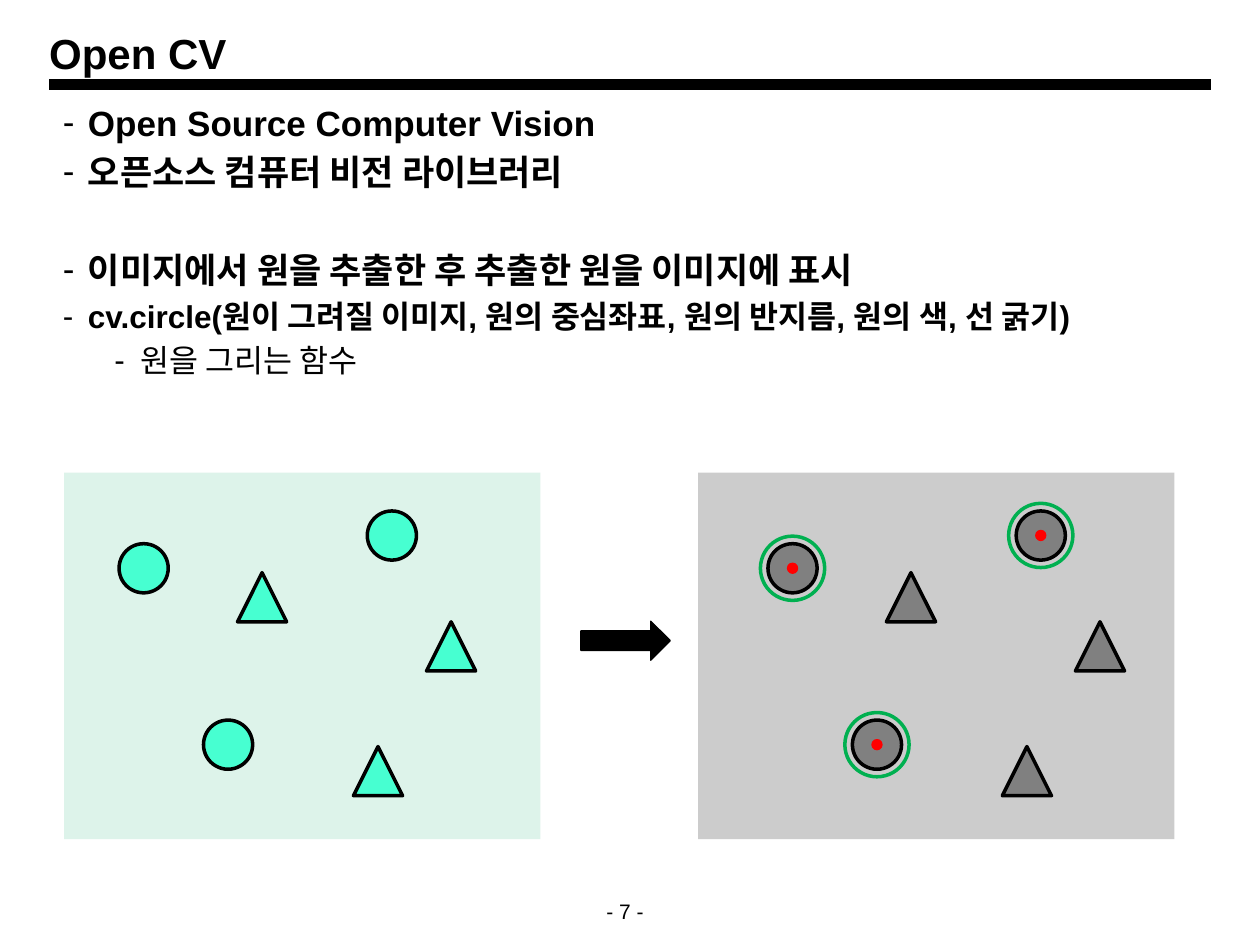
from lxml import etree
from pptx import Presentation
from pptx.dml.color import RGBColor
from pptx.enum.shapes import MSO_CONNECTOR, MSO_SHAPE
from pptx.enum.text import MSO_ANCHOR, PP_ALIGN
from pptx.oxml.ns import qn
from pptx.util import Inches, Pt

ELLIPSE = MSO_SHAPE.OVAL
TRIANGLE = MSO_SHAPE.ISOSCELES_TRIANGLE
RECTANGLE = MSO_SHAPE.RECTANGLE
RIGHT_ARROW = MSO_SHAPE.RIGHT_ARROW
STRAIGHT = MSO_CONNECTOR.STRAIGHT
MIDDLE = MSO_ANCHOR.MIDDLE
LEFT, CENTER = PP_ALIGN.LEFT, PP_ALIGN.CENTER


def color(value):
    return RGBColor.from_string(value)


class Deck:
    font = "Arial"
    ink = "000000"

    def __init__(self, width, height):
        self.presentation = Presentation()
        self.presentation.slide_width = Inches(width)
        self.presentation.slide_height = Inches(height)

    def add_slide(self):
        layout = self.presentation.slide_layouts[5]
        self.slide = self.presentation.slides.add_slide(layout)

    def add_run(self, paragraph, text, size, bold=False):
        run = paragraph.add_run()
        run.text = text
        run.font.name = self.font
        run.font.size = Pt(size)
        run.font.bold = bold
        run.font.color.rgb = color(self.ink)

    def title(self, text, left, top, width, height):
        heading = self.slide.shapes.title
        heading.left, heading.top = Inches(left), Inches(top)
        heading.width, heading.height = Inches(width), Inches(height)
        frame = heading.text_frame
        frame.margin_left = frame.margin_right = 0
        frame.vertical_anchor = MIDDLE
        frame.paragraphs[0].alignment = LEFT
        self.add_run(frame.paragraphs[0], text, 24, True)

    def text_frame(self, *box):
        frame = self.slide.shapes.add_textbox(*map(Inches, box)).text_frame
        frame.word_wrap = True
        return frame

    def label(self, text, size, *box):
        paragraph = self.text_frame(*box).paragraphs[0]
        paragraph.alignment = CENTER
        self.add_run(paragraph, text, size)

    def bullets(self, items, *box):
        frame = self.text_frame(*box)
        for index, (text, size, level, before) in enumerate(items):
            paragraph = frame.add_paragraph() if index else frame.paragraphs[0]
            paragraph.level = level
            paragraph.space_before = Pt(before)
            margin, indent = ((0.2, -0.2), (0.62, -0.21))[level]
            properties = paragraph._p.get_or_add_pPr()
            properties.set("marL", str(Inches(margin)))
            properties.set("indent", str(Inches(indent)))
            etree.SubElement(properties, qn("a:buFont")).set("typeface", self.font)
            etree.SubElement(properties, qn("a:buChar")).set("char", "-")
            self.add_run(paragraph, text, size, level == 0)

    def rule(self, left, right, y, weight):
        line = self.slide.shapes.add_connector(
            STRAIGHT, Inches(left), Inches(y), Inches(right), Inches(y))
        line.line.color.rgb = color(self.ink)
        line.line.width = Pt(weight)
        etree.SubElement(line._element.spPr, qn("a:effectLst"))

    def shape(self, preset, left, top, width, height, fill=None, line=None, weight=2):
        figure = self.slide.shapes.add_shape(
            preset, Inches(left), Inches(top), Inches(width), Inches(height))
        figure.shadow.inherit = False
        if fill:
            figure.fill.solid()
            figure.fill.fore_color.rgb = color(fill)
        else:
            figure.fill.background()
        if line:
            figure.line.color.rgb = color(line)
            figure.line.width = Pt(weight)
        else:
            figure.line.fill.background()

    def centered(self, preset, x, y, size, **style):
        self.shape(preset, x - size / 2, y - size / 2, size, size, **style)


deck = Deck(10, 7.5)
deck.add_slide()
deck.rule(0.39, 9.61, 0.67, 6)
deck.title("Open CV", 0.39, 0.17, 9.23, 0.5)
deck.bullets([
    ("Open Source Computer Vision", 20, 0, 4),
    ("오픈소스 컴퓨터 비전 라이브러리", 20, 0, 4),
    ("이미지에서 원을 추출한 후 추출한 원을 이미지에 표시", 20, 0, 32),
    ("cv.circle(원이 그려질 이미지, 원의 중심좌표, 원의 반지름, 원의 색, 선 굵기)", 18, 0, 3.6),
    ("원을 그리는 함수", 18, 1, 3.6),
], 0.4, 0.76, 9.23, 6.23)
deck.label("- 7 -", 12, 3.92, 7.08, 2.08, 0.42)

for panel_left, panel_fill in ((0.51, "DDF3EA"), (5.54, "CCCCCC")):
    deck.shape(RECTANGLE, panel_left, 3.75, 3.78, 2.91, fill=panel_fill)
deck.shape(RIGHT_ARROW, 4.61, 4.93, 0.71, 0.31,
           fill=deck.ink, line=deck.ink, weight=0.75)

circle_centers = [(1.14, 4.51), (1.81, 5.91), (3.11, 4.25)]
triangle_centers = [(2.08, 4.74), (3.0, 6.12), (3.58, 5.13)]
result_shift = 5.15

for shift, fill in ((0, "47FFD1"), (result_shift, "808080")):
    for preset, centers in ((ELLIPSE, circle_centers), (TRIANGLE, triangle_centers)):
        for x, y in centers:
            deck.centered(preset, x + shift, y, 0.39, fill=fill, line=deck.ink)

for x, y in circle_centers:
    deck.centered(ELLIPSE, x + result_shift, y, 0.08,
                  fill="FF0000", line="FF0000", weight=0.75)
    deck.centered(ELLIPSE, x + result_shift, y, 0.51, line="00B050")

deck.presentation.save("out.pptx")
